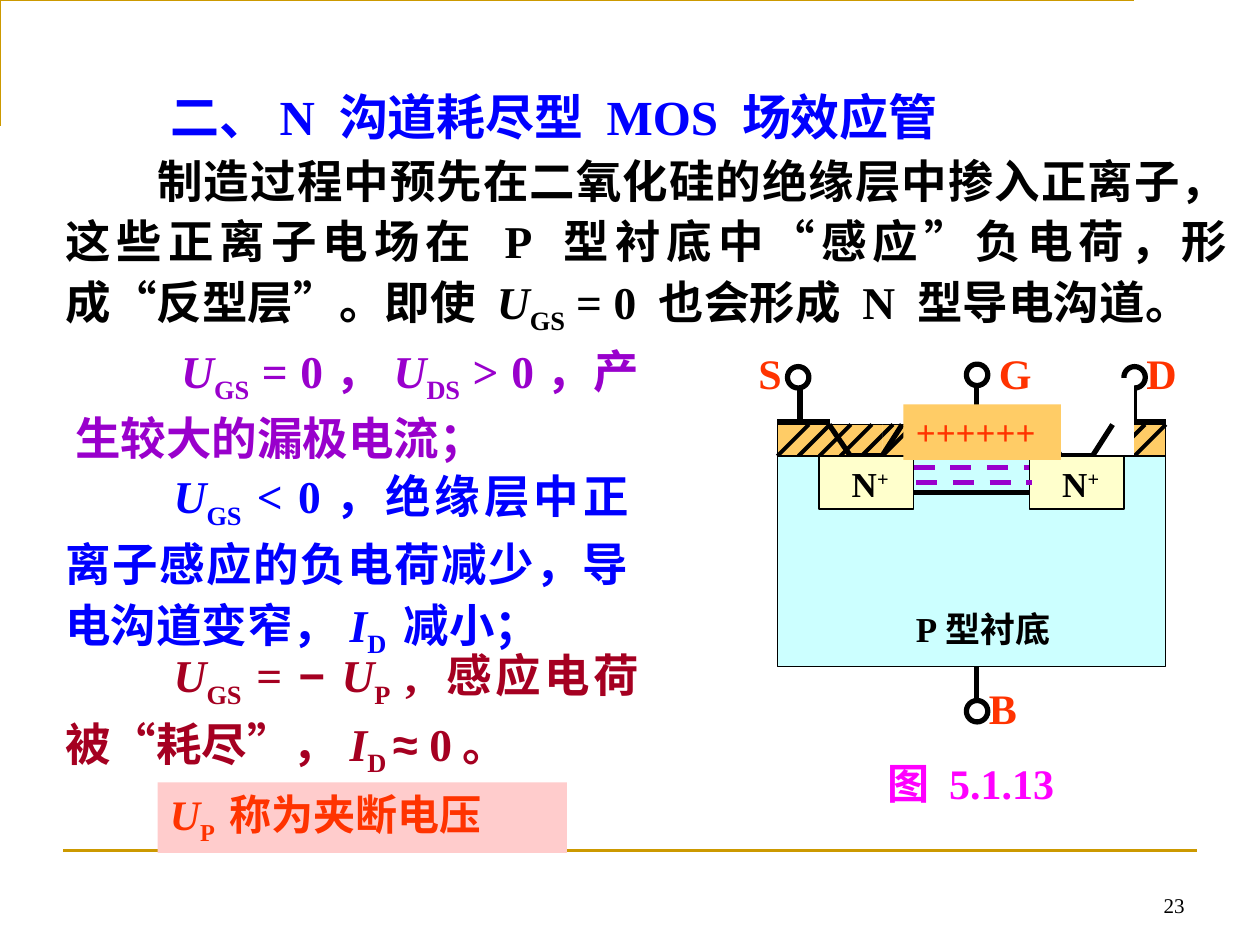
import pptx
import pptx.dml.color
import pptx.enum.dml
import pptx.enum.shapes
import pptx.enum.text
import pptx.oxml
import pptx.oxml.ns
import pptx.util
from lxml import etree

Inches = pptx.util.Inches
Pt = pptx.util.Pt
RGBColor = pptx.dml.color.RGBColor
Shape = pptx.enum.shapes.MSO_SHAPE
Align = pptx.enum.text.PP_ALIGN
Anchor = pptx.enum.text.MSO_ANCHOR
qn = pptx.oxml.ns.qn

BLACK = RGBColor(0x00, 0x00, 0x00)
WHITE = RGBColor(0xFF, 0xFF, 0xFF)
GOLD = RGBColor(0xCC, 0x99, 0x00)
BLUE = RGBColor(0x00, 0x00, 0xFF)
PURPLE = RGBColor(0x99, 0x00, 0xCC)
CRIMSON = RGBColor(0xA5, 0x00, 0x21)
RED = RGBColor(0xFF, 0x33, 0x00)
MAGENTA = RGBColor(0xFF, 0x00, 0xFF)
OXIDE = RGBColor(0xFF, 0xCC, 0x66)
SUBSTRATE = RGBColor(0xCC, 0xFF, 0xFF)
WELL = RGBColor(0xFF, 0xFF, 0xCC)
PINK = RGBColor(0xFF, 0xCC, 0xCC)

LATIN = "Times New Roman"
CJK = "Noto Sans CJK SC"


def span(text, font=LATIN, italic=False, baseline=0):
    """Describe a piece of text; baseline is a shift in percent."""
    return text, font, italic, baseline


def symbol(letter, index):
    return [span(letter, italic=True), span(index, baseline=-25)]


def quoted(text):
    return [span("“", font=CJK), span(text), span("”", font=CJK)]


class SlidePainter:
    def __init__(self, page):
        self.page = page

    def set_text(self, box, spans, size, color, bold=True, align=Align.LEFT,
                 indent=0, line_spacing=1.0, anchor=Anchor.TOP):
        frame = box.text_frame
        frame.word_wrap = True
        frame.auto_size = pptx.enum.text.MSO_AUTO_SIZE.NONE
        frame.vertical_anchor = anchor
        para = frame.paragraphs[0]
        properties = para._p.get_or_add_pPr()
        properties.set("marL", "0")
        properties.set("indent", str(Inches(indent)))
        etree.SubElement(properties, qn("a:buNone"))
        para.alignment = align
        para.space_before = Pt(0)
        para.line_spacing = line_spacing
        for text, font, italic, baseline in spans:
            run = para.add_run()
            run.text = text
            run.font.size = Pt(size)
            run.font.bold = bold
            run.font.italic = italic
            run.font.color.rgb = color
            run.font.name = font
            run_properties = run._r.get_or_add_rPr()
            etree.SubElement(run_properties, qn("a:ea"), typeface=CJK)
            if baseline:
                run_properties.set("baseline", str(baseline * 1000))

    def text(self, left, top, width, height, spans, size, color, **style):
        box = self.page.shapes.add_textbox(
            Inches(left), Inches(top), Inches(width), Inches(height))
        self.set_text(box, spans, size, color, **style)

    def placeholder(self, index, left, top, width, height, spans, size, color, **style):
        box = self.page.placeholders[index]
        box.left, box.top = Inches(left), Inches(top)
        box.width, box.height = Inches(width), Inches(height)
        self.set_text(box, spans, size, color, **style)

    def finish(self, shape, fill, line_color, line_width):
        shape.shadow.inherit = False
        if fill is None:
            shape.fill.background()
        else:
            shape.fill.solid()
            shape.fill.fore_color.rgb = fill
        if line_color is None:
            shape.line.fill.background()
        else:
            shape.line.color.rgb = line_color
            shape.line.width = Pt(line_width)
        return shape

    def shape(self, left, top, width, height, fill, line_color=None,
              line_width=0.75, kind=Shape.RECTANGLE):
        shape = self.page.shapes.add_shape(
            kind, Inches(left), Inches(top), Inches(width), Inches(height))
        return self.finish(shape, fill, line_color, line_width)

    def outline(self, points, fill=None, line_color=None, line_width=0.75, close=False):
        builder = self.page.shapes.build_freeform(*points[0], scale=Inches(1))
        builder.add_line_segments(points[1:], close=close)
        return self.finish(builder.convert_to_shape(), fill, line_color, line_width)

    def line(self, x1, y1, x2, y2, color=BLACK, width=3, dashed=False):
        line = self.page.shapes.add_connector(
            pptx.enum.shapes.MSO_CONNECTOR.STRAIGHT,
            Inches(x1), Inches(y1), Inches(x2), Inches(y2))
        line.line.color.rgb = color
        line.line.width = Pt(width)
        if dashed:
            line.line.dash_style = pptx.enum.dml.MSO_LINE.DASH
        etree.SubElement(line._element.spPr, qn("a:effectLst"))

    def terminal(self, stem_x, stem_top, left, top):
        self.line(stem_x, stem_top, stem_x, stem_top + 0.5)
        self.shape(left, top, 0.17, 0.17, WHITE, BLACK, 3, Shape.OVAL)


def draw_transistor(painter):
    surface, junction = 3.37, 3.62
    for stem_x, stem_top, left, top in [(6.35, 3.04, 6.25, 2.91), (7.75, 5.12, 7.67, 5.56),
                                        (9, 3.04, 8.92, 2.91), (7.75, 3.04, 7.67, 2.89)]:
        painter.terminal(stem_x, stem_top, left, top)
    for left in (6.17, 8.83):
        painter.line(left, surface, left + 0.42, surface, width=6)

    painter.shape(6.17, surface, 3.08, 0.25, OXIDE, BLACK)
    for step in [*range(6), *range(13, 18)]:
        top_x = 6.42 + step / 6
        painter.line(top_x, surface, top_x - 0.25, junction, width=2.25)
    for left in (6.58, 8.25):
        painter.outline([(left, surface), (left + 0.58, surface), (left + 0.44, junction),
                         (left + 0.15, junction)], fill=WHITE, close=True)
        painter.line(left, surface, left + 0.17, junction)
        painter.line(left + 0.58, surface, left + 0.42, junction)
        painter.line(left + 0.17, junction, left + 0.42, junction)

    painter.shape(6.17, junction, 3.08, 1.67, SUBSTRATE, BLACK)
    painter.text(7.17, 4.77, 1.42, 0.44, [span("P型衬底")], 20, BLACK)
    for left in (6.5, 8.17):
        well = painter.shape(left, junction, 0.75, 0.42, WELL, BLACK)
        well.text_frame.margin_left = Inches(0.26)
        well.text_frame.margin_right = 0
        painter.set_text(well, [span("N"), span("+", baseline=30)], 20, BLACK)
    for name, left, top in [("B", 7.75, 5.37), ("G", 7.83, 2.71),
                            ("S", 5.92, 2.71), ("D", 9, 2.71)]:
        painter.text(left, top, 0.75, 0.5, [span(name)], 24, RED)

    painter.line(7.25, 3.71, 8.17, 3.71, PURPLE, dashed=True)
    painter.line(7.27, 3.83, 8.19, 3.83, PURPLE, dashed=True)
    painter.line(7.25, 3.91, 8.17, 3.91)
    gate = painter.shape(7.17, 3.21, 1.25, 0.44, OXIDE)
    painter.set_text(gate, [span("++++++")], 20, RED)


def main():
    deck = pptx.Presentation()
    deck.slide_width, deck.slide_height = Inches(10), Inches(7.5)
    painter = SlidePainter(deck.slides.add_slide(deck.slide_layouts[1]))
    body = {"align": Align.JUSTIFY, "line_spacing": 1.1}

    painter.outline([(0.42, 0.92), (0.42, 0.25), (9.42, 0.25)],
                    line_color=GOLD, line_width=1.5)
    painter.line(0.5, 6.75, 9.5, 6.75, GOLD, 1.5)
    painter.placeholder(0, 1.25, 0.64, 7.5, 0.57,
                        [span("二、N 沟道耗尽型 MOS 场效应管")], 28, BLUE)
    painter.placeholder(1, 0.42, 1.12, 9.42, 1.6, [
        span("制造过程中预先在二氧化硅的绝缘层中掺入正离子，这些正离子电场在 P 型衬底中"),
        *quoted("感应"), span("负电荷，形成"), *quoted("反型层"), span("。即使 "),
        *symbol("U", "GS"), span(" = 0 也会形成 N 型导电沟道。")],
        26, BLACK, indent=0.73, **body)

    draw_transistor(painter)

    painter.text(0.5, 2.62, 4.67, 1.12, [
        *symbol("U", "GS"), span(" = 0，"), *symbol("U", "DS"),
        span(" > 0，产生较大的漏极电流；")], 26, PURPLE, indent=0.84, **body)
    painter.text(0.42, 3.62, 4.67, 1.66, [
        *symbol("U", "GS"), span(" < 0，绝缘层中正离子感应的负电荷减少，导电沟道变窄，"),
        *symbol("I", "D "), span("减小；")], 26, BLUE, indent=0.86, **body)
    painter.text(0.42, 5.04, 4.75, 1.19, [
        *symbol("U", "GS"), span(" ="), span(" − ", font="Arial"), *symbol("U", "P"),
        span(" , "), span("感应电荷被“耗尽”，", font=CJK), *symbol("I", "D "),
        span("≈", font="Arial"), span(" 0。")], 26, CRIMSON, indent=0.86, **body)

    note = painter.shape(1.25, 6.21, 3.25, 0.56, PINK)
    painter.set_text(note, [*symbol("U", "P "), span("称为夹断电压")], 24, RED)
    painter.text(6.33, 5.96, 2.75, 0.5, [span("图 5.1.13")], 24, MAGENTA, align=Align.CENTER)
    painter.text(7.17, 6.83, 2.33, 0.5, [span("23")], 12, BLACK, bold=False,
                 align=Align.RIGHT, anchor=Anchor.BOTTOM)
    deck.save("out.pptx")


if __name__ == "__main__":
    main()
